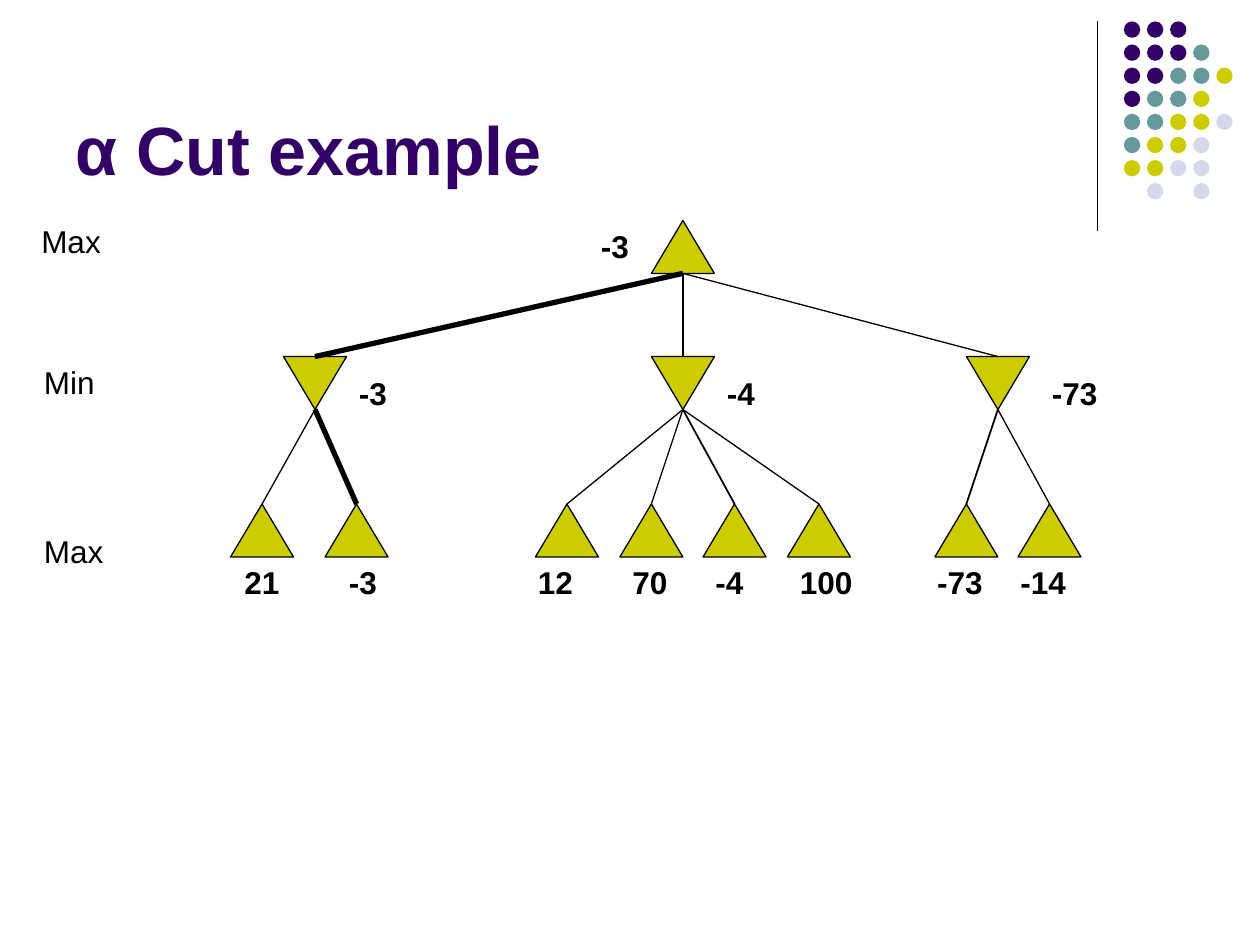
"""Build a slide showing an alpha cut in a minimax game tree."""
from dataclasses import dataclass

from lxml.etree import SubElement
from pptx import Presentation
from pptx.dml.color import RGBColor
from pptx.enum.shapes import MSO_CONNECTOR, MSO_SHAPE
from pptx.enum.text import MSO_ANCHOR
from pptx.oxml.ns import qn
from pptx.util import Inches, Pt


@dataclass(frozen=True)
class Theme:
    font: str = "Arial"
    title_size: float = 39
    label_size: float = 18
    ink: str = "000000"
    purple: str = "330066"
    teal: str = "669999"
    lime: str = "CCCC00"
    lavender: str = "D8D8EC"
    thin: float = 0.75
    medium: float = 1
    thick: float = 3


@dataclass(frozen=True)
class Node:
    value: str
    center: float
    label_left: float
    edge: float = 0.75
    children: tuple = ()


THEME = Theme()
NODE_WIDTH, NODE_HEIGHT = 0.5, 0.42
LEVEL_TOPS = (1.75, 2.83, 4)
LABEL_TOPS = (1.75, 2.92, 4.42)
LABEL_HEIGHT = 0.4
LEVEL_NAMES = (("Max", 0.23, 1.71, 0.67), ("Min", 0.25, 2.83, 0.6), ("Max", 0.25, 4.17, 0.67))
DOT_ROWS = ("PPP", "PPPT", "PPTTY", "PTTY", "TTYYL", "TYYL", "YYLL", " L L")
DOT_COLORS = {"P": THEME.purple, "T": THEME.teal, "Y": THEME.lime, "L": THEME.lavender}
DOT_LEFT, DOT_TOP, DOT_SIZE, DOT_PITCH = 8.92, 0.17, 0.13, 0.55 / 3

TREE = Node("-3", 5.42, 4.67, children=(
    Node("-3", 2.5, 2.75, THEME.thick, (
        Node("21", 2.08, 1.84),
        Node("-3", 2.83, 2.67, THEME.thick))),
    Node("-4", 5.42, 5.67, children=(
        Node("12", 4.5, 4.17),
        Node("70", 5.17, 4.92),
        Node("-4", 5.83, 5.58, THEME.medium),
        Node("100", 6.5, 6.25))),
    Node("-73", 7.92, 8.25, children=(
        Node("-73", 7.67, 7.34, THEME.medium),
        Node("-14", 8.33, 8)))))


def add_text(page, text, left, top, width, height, size, color, bold=False):
    """Add a one-line text box and return its frame."""
    box = page.shapes.add_textbox(Inches(left), Inches(top), Inches(width), Inches(height))
    frame = box.text_frame
    frame.text = text
    frame.word_wrap = False
    font = frame.paragraphs[0].runs[0].font
    font.name, font.size, font.bold = THEME.font, Pt(size), bold
    font.color.rgb = RGBColor.from_string(color)
    return frame


def add_line(page, start, end, width):
    """Draw a straight line without a shadow."""
    points = [Inches(value) for value in (*start, *end)]
    line = page.shapes.add_connector(MSO_CONNECTOR.STRAIGHT, *points)
    line.line.color.rgb = RGBColor.from_string(THEME.ink)
    line.line.width = Pt(width)
    SubElement(line._element.spPr, qn("a:effectLst"))


def add_filled(page, kind, left, top, width, height, color):
    """Add a flat preset shape with no outline."""
    shape = page.shapes.add_shape(kind, Inches(left), Inches(top), Inches(width), Inches(height))
    shape.shadow.inherit = False
    shape.fill.solid()
    shape.fill.fore_color.rgb = RGBColor.from_string(color)
    shape.line.fill.background()
    return shape


def add_dots(page):
    """Draw the decorative grid of dots and its dividing line."""
    add_line(page, (8.71, 0.17), (8.71, 1.83), THEME.thin)
    for row, codes in enumerate(DOT_ROWS):
        for column, code in enumerate(codes):
            if code in DOT_COLORS:
                add_filled(page, MSO_SHAPE.OVAL, DOT_LEFT + column * DOT_PITCH,
                           DOT_TOP + row * DOT_PITCH, DOT_SIZE, DOT_SIZE, DOT_COLORS[code])


def add_triangle(page, node, level):
    """Draw a node pointing up for Max or down for Min."""
    triangle = add_filled(page, MSO_SHAPE.ISOSCELES_TRIANGLE, node.center - NODE_WIDTH / 2,
                          LEVEL_TOPS[level], NODE_WIDTH, NODE_HEIGHT, THEME.lime)
    triangle.rotation = 180 if level == 1 else 0
    triangle.line.color.rgb = RGBColor.from_string(THEME.ink)
    triangle.line.width = Pt(THEME.thin)


def add_edges(page, node, level):
    """Join a node to each of its children."""
    start = (node.center, LEVEL_TOPS[level] + NODE_HEIGHT)
    for child in node.children:
        add_line(page, start, (child.center, LEVEL_TOPS[level + 1]), child.edge)


def add_value(page, node, level):
    """Write the value of a node in a box fitted to its characters."""
    width = 0.2 + sum(0.08 if character == "-" else 0.14 for character in node.value)
    add_text(page, node.value, node.label_left, LABEL_TOPS[level], width, LABEL_HEIGHT,
             THEME.label_size, THEME.ink, bold=True)


def walk(node, level=0):
    """Yield every node of the tree with its level."""
    yield node, level
    for child in node.children:
        yield from walk(child, level + 1)


def main():
    """Build and save the slide."""
    deck = Presentation()
    deck.slide_width, deck.slide_height = Inches(10), Inches(7.5)
    page = deck.slides.add_slide(deck.slide_layouts[6])
    add_dots(page)
    title = add_text(page, "α Cut example", 0.5, 0.13, 8.25, 1.42,
                     THEME.title_size, THEME.purple, bold=True)
    title.word_wrap = True
    title.vertical_anchor = MSO_ANCHOR.BOTTOM
    for draw in (add_triangle, add_edges, add_value):
        for node, level in walk(TREE):
            draw(page, node, level)
    for name, left, top, width in LEVEL_NAMES:
        add_text(page, name, left, top, width, LABEL_HEIGHT, THEME.label_size, THEME.ink)
    deck.save("out.pptx")


if __name__ == "__main__":
    main()
